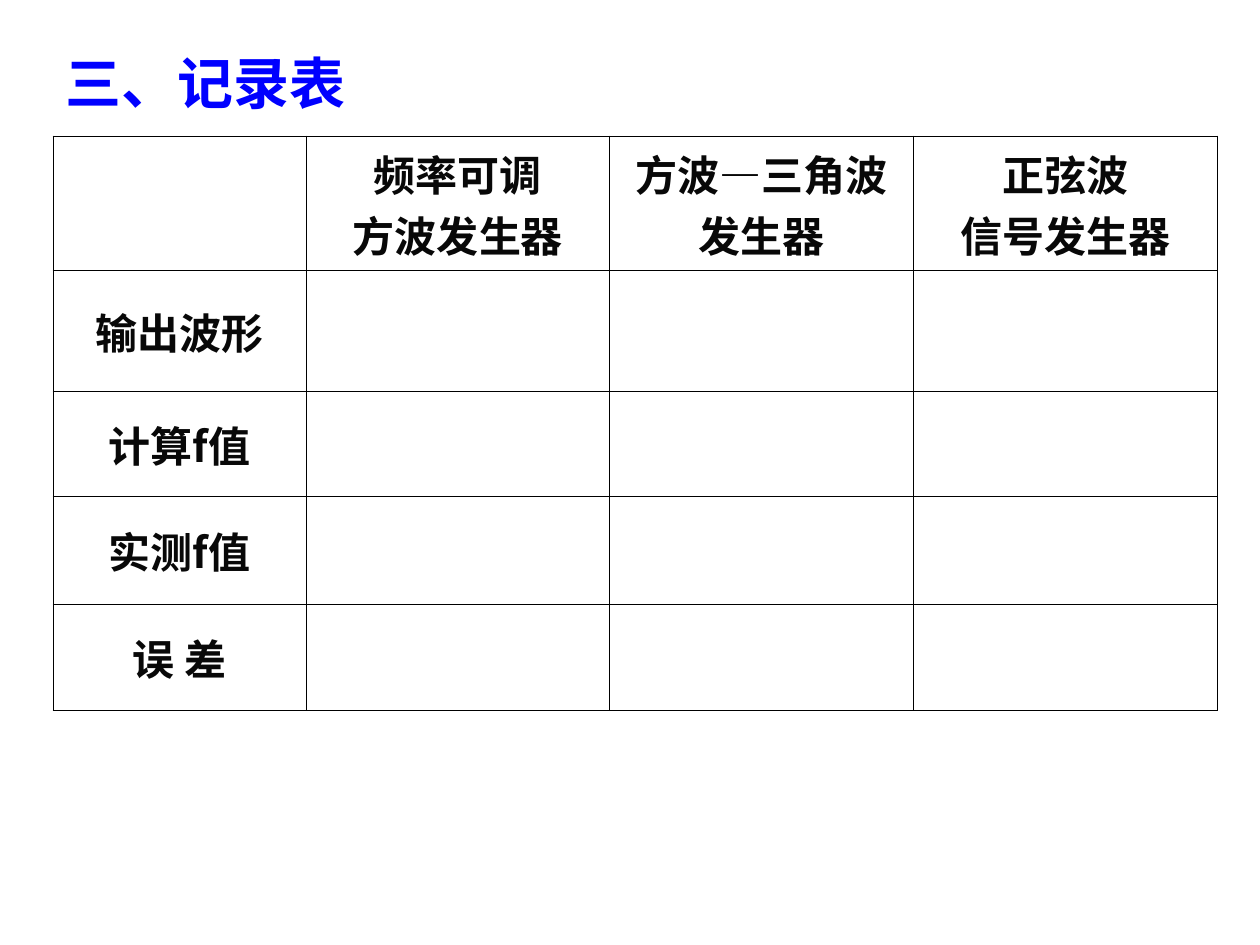
import pptx
import pptx.dml.color
import pptx.enum.text
import pptx.oxml
import pptx.oxml.ns
import pptx.util

FONT = "Noto Sans CJK SC"
WIDTH, HEIGHT = 10, 7.5
COLUMNS = [2.01, 2.41, 2.41, 2.41]
ROWS = [1.04, 0.96, 0.83, 0.86, 0.84]
HEADERS = [["频率可调", "方波发生器"], ["方波―三角波", "发生器"], ["正弦波", "信号发生器"]]
LABELS = ["输出波形", "计算f值", "实测f值", "误 差"]


def colour(value):
    return pptx.dml.color.RGBColor.from_string(value)


def add_span(para, text, size, value):
    span = para.add_run()
    span.text = text
    span.font.size = pptx.util.Pt(size)
    span.font.bold = True
    span.font.name = FONT
    span.font.color.rgb = colour(value)
    east_asian = pptx.oxml.parse_xml(
        f'<a:ea {pptx.oxml.ns.nsdecls("a")} typeface="{FONT}"/>')
    span.font._element.find(pptx.oxml.ns.qn("a:latin")).addnext(east_asian)


def format_title(title, box):
    title.left, title.top, title.width, title.height = map(pptx.util.Inches, box)
    frame = title.text_frame
    frame.auto_size = pptx.enum.text.MSO_AUTO_SIZE.NONE
    frame.vertical_anchor = pptx.enum.text.MSO_ANCHOR.MIDDLE
    frame.margin_top = pptx.util.Inches(0.15)
    para = frame.paragraphs[0]
    para.alignment = pptx.enum.text.PP_ALIGN.LEFT
    add_span(para, "三、记录表", 32, "0000FF")


def add_borders(cell):
    properties = cell._tc.get_or_add_tcPr()
    for index, side in enumerate(("lnL", "lnR", "lnT", "lnB")):
        properties.insert(index, pptx.oxml.parse_xml(
            f'<a:{side} {pptx.oxml.ns.nsdecls("a")} w="{pptx.util.Pt(0.45)}">'
            f'<a:solidFill><a:srgbClr val="000000"/></a:solidFill></a:{side}>'))


def fill_cell(cell, lines):
    cell.vertical_anchor = pptx.enum.text.MSO_ANCHOR.MIDDLE
    frame = cell.text_frame
    for index, line in enumerate(lines):
        para = frame.add_paragraph() if index else frame.paragraphs[0]
        para.alignment = pptx.enum.text.PP_ALIGN.CENTER
        add_span(para, line, 24, "080808")


def add_record_table(page, box):
    frame = page.shapes.add_table(len(ROWS), len(COLUMNS), *map(pptx.util.Inches, box))
    table = frame.table
    table.first_row = table.horz_banding = False
    for column, share in zip(table.columns, COLUMNS):
        column.width = pptx.util.Inches(box[2] * share / sum(COLUMNS))
    for row, share in zip(table.rows, ROWS):
        row.height = pptx.util.Inches(box[3] * share / sum(ROWS))
    for cell in table.iter_cells():
        cell.fill.background()
        add_borders(cell)

    # Headings across the top, labels down the left
    for index, lines in enumerate(HEADERS, 1):
        fill_cell(table.cell(0, index), lines)
    for index, label in enumerate(LABELS, 1):
        fill_cell(table.cell(index, 0), [label])


def main():
    deck = pptx.Presentation()
    deck.slide_width = pptx.util.Inches(WIDTH)
    deck.slide_height = pptx.util.Inches(HEIGHT)
    page = deck.slides.add_slide(deck.slide_layouts[5])
    page.background.fill.solid()
    page.background.fill.fore_color.rgb = colour("FFFFFF")

    left = 0.042 * WIDTH
    format_title(page.shapes.title, (left, HEIGHT / 30, 3.17, 0.7))
    add_record_table(page, (left, 0.144 * HEIGHT, sum(COLUMNS), sum(ROWS)))
    deck.save("out.pptx")


if __name__ == "__main__":
    main()
